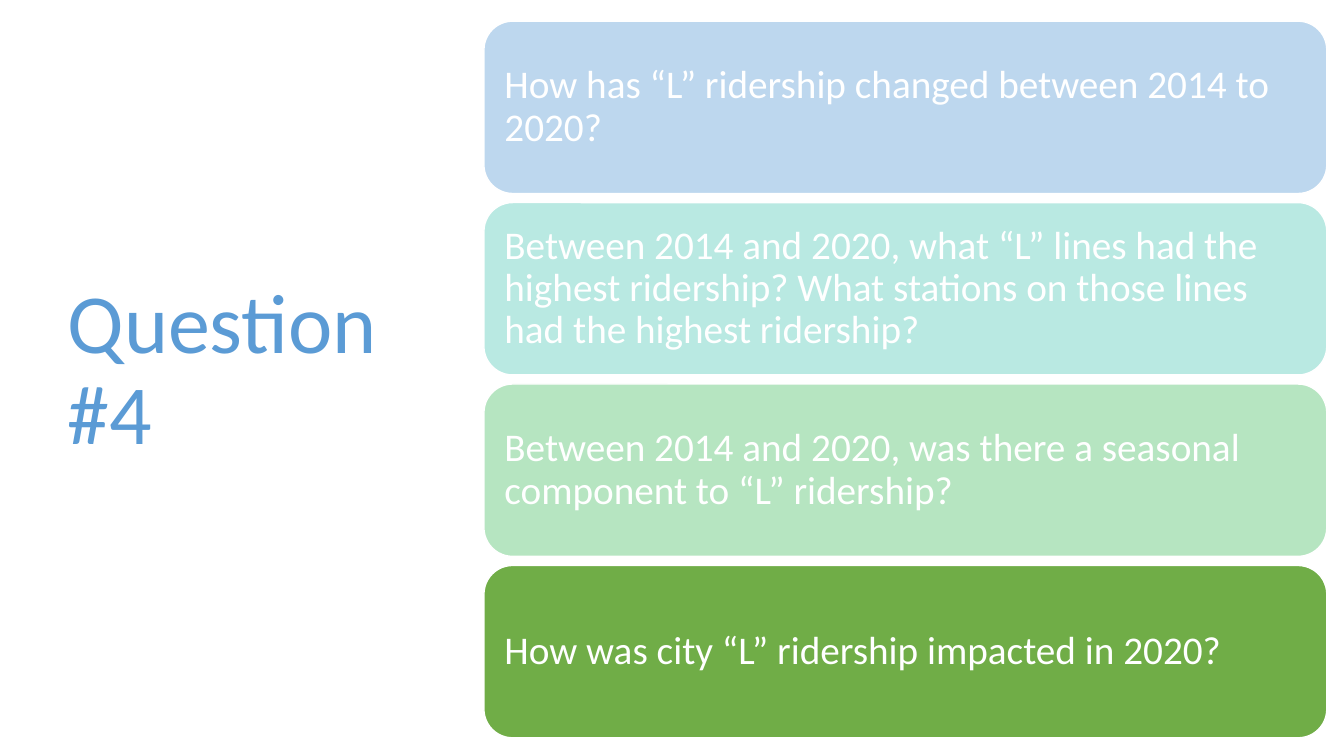
from lxml import etree
from pptx import Presentation
from pptx import util as u
from pptx.dml.color import RGBColor
from pptx.enum import shapes, text
from pptx.oxml.ns import qn

COLORS = {"title": "5B9BD5", "white": "FFFFFF", "blue": "5B9BD5",
          "teal": "52CAB8", "mint": "49BF64", "green": "70AD47"}
FADED, SOLID = 40, 100  # opacity in percent

# Card grid, in inches
LEFT, TOP, WIDTH, HEIGHT, PITCH = 4.8, 0.21, 8.36, 1.71, 1.8
CARDS = [
    ("How has “L” ridership changed between 2014 to 2020?", "blue", FADED),
    ("Between 2014 and 2020, what “L” lines had the highest ridership? "
     "What stations on those lines had the highest ridership?", "teal", FADED),
    ("Between 2014 and 2020, was there a seasonal component to “L” ridership?",
     "mint", FADED),
    ("How was city “L” ridership impacted in 2020?", "green", SOLID),
]


def write(shape, words, size, color, inset):
    frame = shape.text_frame
    frame.text = words
    frame_format = {"word_wrap": True, "auto_size": text.MSO_AUTO_SIZE.NONE,
                    "vertical_anchor": text.MSO_ANCHOR.MIDDLE}
    for side in ("left", "right", "top", "bottom"):
        frame_format[f"margin_{side}"] = u.Inches(inset)
    for name, value in frame_format.items():
        setattr(frame, name, value)
    paragraph = frame.paragraphs[0]
    paragraph.alignment = text.PP_ALIGN.LEFT
    paragraph.line_spacing = 0.9
    for run in paragraph.runs:
        run.font.name = "Calibri"
        run.font.size = u.Pt(size)
        run.font.color.rgb = RGBColor.from_string(COLORS[color])


presentation = Presentation()
presentation.slide_width = u.Inches(13.33)
presentation.slide_height = u.Inches(7.5)
slide = presentation.slides.add_slide(presentation.slide_layouts[5])

# Title
title = slide.shapes.title
title.left, title.top, title.width, title.height = map(u.Inches, (0.57, 0.68, 3.97, 6.02))
write(title, "Question\v#4", 60, "title", 0.1)

# Question cards, with the current one solid
for row, (question, color, opacity) in enumerate(CARDS):
    card = slide.shapes.add_shape(
        shapes.MSO_SHAPE.ROUNDED_RECTANGLE, u.Inches(LEFT),
        u.Inches(TOP + row * PITCH), u.Inches(WIDTH), u.Inches(HEIGHT))
    card.shadow.inherit = False
    card.fill.solid()
    card.fill.fore_color.rgb = RGBColor.from_string(COLORS[color])
    if opacity < SOLID:
        fill_color = card.fill._xPr.find(qn("a:solidFill"))[0]
        etree.SubElement(fill_color, qn("a:alpha")).set("val", str(opacity * 1000))
    card.line.color.rgb = RGBColor.from_string(COLORS["white"])
    card.line.width = u.Pt(1)
    write(card, question, 28, "white", 0.12)

presentation.save("out.pptx")
